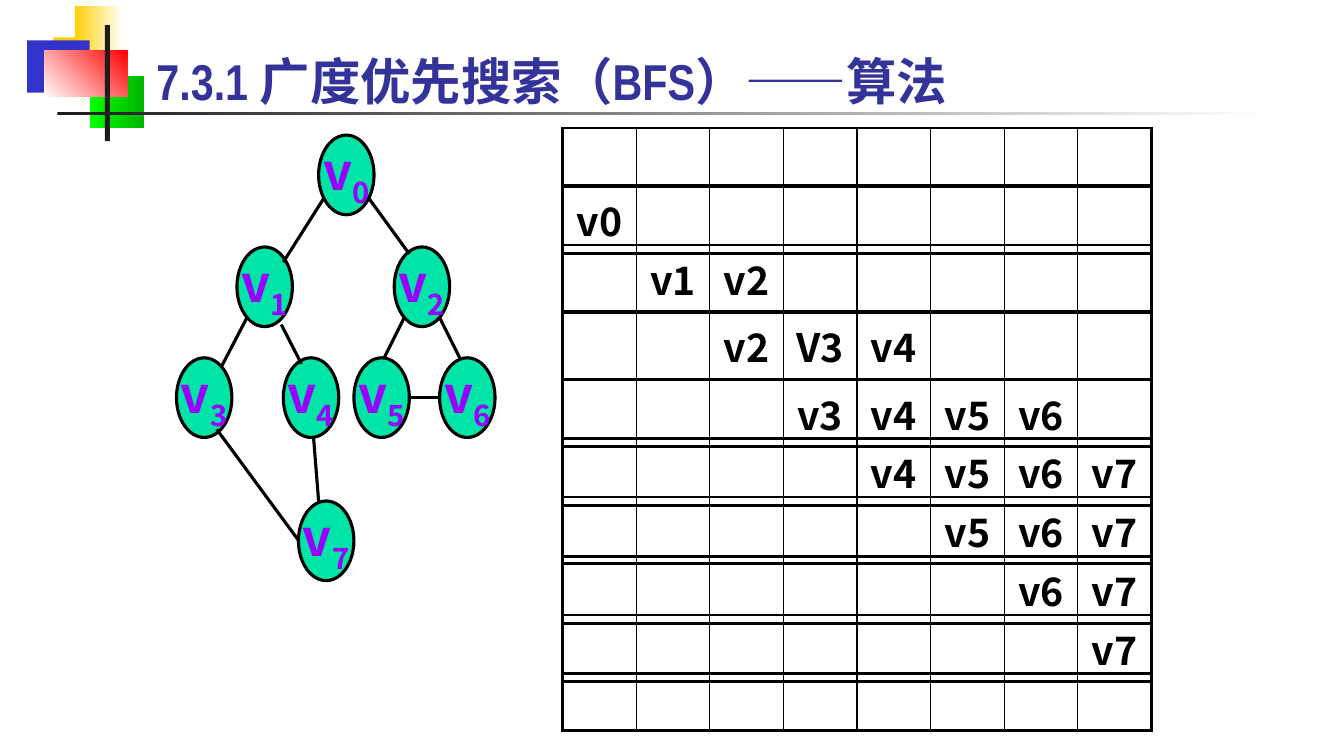
from lxml.etree import SubElement
from pptx import Presentation
from pptx.dml.color import RGBColor
from pptx.enum.shapes import MSO_CONNECTOR, MSO_SHAPE
from pptx.enum.text import MSO_ANCHOR, MSO_AUTO_SIZE, PP_ALIGN
from pptx.oxml.ns import qn
from pptx.util import Pt

PX = 9144  # one px is a hundredth of an inch
CJK = "Noto Sans CJK SC"
COLORS = {
    "title": "333399", "black": "000000", "node": "00E4A8", "label": "9900FF",
    "gold": "FFCF01", "white": "FFFFFF", "blue": "3333CC", "lime": "00FF00",
    "green": "00B600", "red": "FF0000", "ink": "1C1C1C",
}

# left, top, width, height, colours, gradient angle
ORNAMENTS = [
    (53, 37, 64, 52, ["gold"], 0),
    (74, 6, 48, 52, ["gold", "white"], 0),
    (27, 40, 62, 52, ["blue"], 0),
    (89, 75, 54, 52, ["lime", "green"], 0),
    (44, 50, 82, 46, ["white", "red"], 45),
    (104, 25, 5, 115, ["ink"], 0),
    (57, 111, 1200, 3, ["ink", "white"], 0),
]
NODE_W, NODE_H = 55, 79
NODES = [(316, 134), (235, 245), (391, 245), (175, 355),
         (281, 355), (351, 355), (436, 355), (296, 497)]
EDGES = [
    (321, 197, 281, 260), (366, 197, 406, 252), (245, 315, 220, 363),
    (279, 322, 299, 361), (215, 426, 296, 536), (311, 434, 316, 497),
    (401, 315, 381, 355), (436, 315, 456, 355), (406, 394, 436, 394),
]
QUEUE_LEFT, CELL_W, CELL_H, CELLS = 558, 73, 57, 8
# table top, column of the queue's head, queue contents
QUEUES = [
    (127, 0, []), (185, 0, ["v0"]), (243, 1, ["v1", "v2"]),
    (310, 2, ["v2", "V3", "v4"]), (377, 3, ["v3", "v4", "v5", "v6"]),
    (435, 4, ["v4", "v5", "v6", "v7"]), (493, 5, ["v5", "v6", "v7"]),
    (552, 6, ["v6", "v7"]), (610, 7, ["v7"]), (668, 0, []),
]


def px(*values):
    return [v * PX for v in values]


def rgb(name):
    return RGBColor.from_string(COLORS[name])


def add_run(p, text, size, color, font=CJK):
    r = p.add_run()
    r.text = text
    r.font.size, r.font.bold, r.font.name = Pt(size), True, font
    r.font.color.rgb = rgb(color)
    return r


def add_ornament(s, x, y, w, h, colors, angle):
    sp = s.shapes.add_shape(MSO_SHAPE.RECTANGLE, *px(x, y, w, h))
    sp.shadow.inherit = False
    sp.line.fill.background()
    if len(colors) == 1:
        sp.fill.solid()
        sp.fill.fore_color.rgb = rgb(colors[0])
        return
    sp.fill.gradient()
    sp.fill.gradient_angle = angle
    for stop, color in zip(sp.fill.gradient_stops, colors):
        stop.color.rgb = rgb(color)


def set_title(s, text):
    title = s.shapes.title
    title.left, title.top, title.width, title.height = px(145, 45, 934, 69)
    tf = title.text_frame
    tf.auto_size = MSO_AUTO_SIZE.NONE
    tf.vertical_anchor = MSO_ANCHOR.MIDDLE
    p = tf.paragraphs[0]
    p.alignment = PP_ALIGN.LEFT
    r = add_run(p, text, 36, "title", "Arial Narrow")
    SubElement(r.font._element, qn("a:ea"), typeface=CJK)


def add_node(s, number, x, y):
    sp = s.shapes.add_shape(MSO_SHAPE.OVAL, *px(x, y, NODE_W, NODE_H))
    sp.shadow.inherit = False
    sp.fill.solid()
    sp.fill.fore_color.rgb = rgb("node")
    sp.line.color.rgb = rgb("black")
    sp.line.width = Pt(2.25)
    tf = sp.text_frame
    tf.word_wrap = False
    tf.vertical_anchor = MSO_ANCHOR.MIDDLE
    tf.margin_left = tf.margin_right = tf.margin_top = tf.margin_bottom = 0
    p = tf.paragraphs[0]
    p.alignment = PP_ALIGN.CENTER
    add_run(p, "v", 36, "label")
    r = add_run(p, str(number), 36, "label")
    r.font._element.set("baseline", "-25000")


def add_edge(s, x1, y1, x2, y2):
    line = s.shapes.add_connector(MSO_CONNECTOR.STRAIGHT, *px(x1, y1, x2, y2))
    line.line.color.rgb = rgb("black")
    line.line.width = Pt(2.25)
    SubElement(line._element.spPr, qn("a:effectLst"))


def set_borders(cell, widths):
    tcPr = cell._tc.get_or_add_tcPr()
    for side, width in widths.items():
        ln = SubElement(tcPr, qn(f"a:ln{side}"), w=str(Pt(width)))
        fill = SubElement(ln, qn("a:solidFill"))
        SubElement(fill, qn("a:srgbClr"), val=COLORS["black"])


def add_queue(s, top, head, names):
    frame = s.shapes.add_table(
        1, CELLS, *px(QUEUE_LEFT, top, CELLS * CELL_W, CELL_H))
    table = frame.table
    table.first_row = table.horz_banding = False
    for i, cell in enumerate(table.rows[0].cells):
        set_borders(cell, {"L": 2.25 if i == 0 else 1,
                           "R": 2.25 if i == CELLS - 1 else 1,
                           "T": 2.25, "B": 2.25})
        cell.fill.background()
        cell.vertical_anchor = MSO_ANCHOR.MIDDLE
        if head <= i < head + len(names):
            p = cell.text_frame.paragraphs[0]
            p.alignment = PP_ALIGN.CENTER
            add_run(p, names[i - head], 28, "black")


def main():
    prs = Presentation()
    prs.slide_width, prs.slide_height = px(1333, 750)
    s = prs.slides.add_slide(prs.slide_layouts[5])

    # Corner ornament and title
    for ornament in ORNAMENTS:
        add_ornament(s, *ornament)
    set_title(s, "7.3.1 广度优先搜索（BFS）——算法")

    # Graph
    for number, (x, y) in enumerate(NODES):
        add_node(s, number, x, y)
    for edge in EDGES:
        add_edge(s, *edge)

    # Queue states
    for queue in QUEUES:
        add_queue(s, *queue)

    prs.save("out.pptx")


if __name__ == "__main__":
    main()
